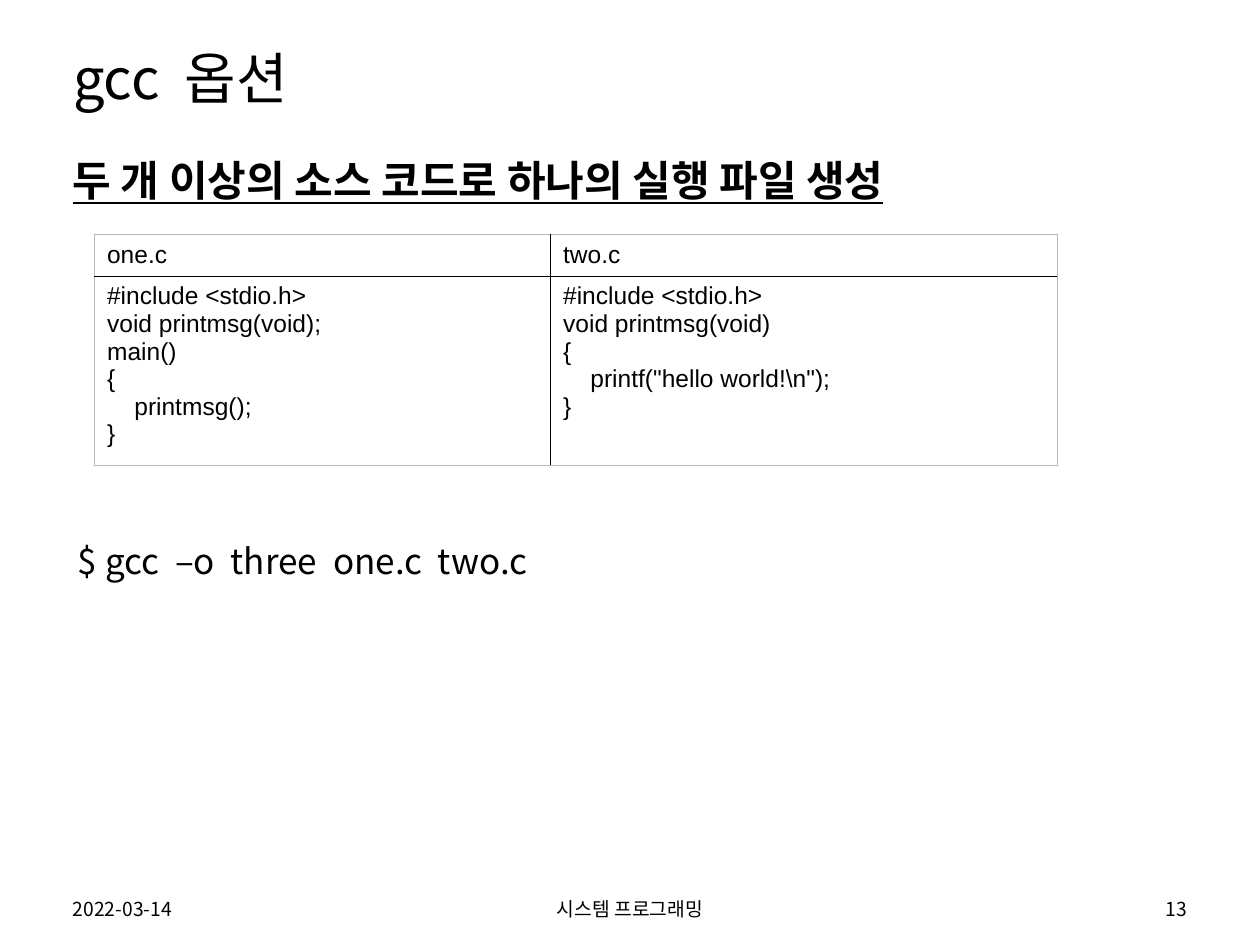
from dataclasses import dataclass

import pptx
import pptx.dml.color
import pptx.enum.text
import pptx.oxml
import pptx.oxml.ns
import pptx.util
from lxml import etree

Pt = pptx.util.Pt
qn = pptx.oxml.ns.qn
ALIGN = pptx.enum.text.PP_ALIGN
ANCHOR = pptx.enum.text.MSO_ANCHOR

COLORS = {"text": "000000", "rule": "000000", "frame": "B8B8B8"}
KOREAN_FONT = "Noto Sans CJK KR"
CODE_FONT = "Arial"
CODE_INDENT = 15.6
MARGIN = 34.56
CONTENT_WIDTH = 652.32


@dataclass
class Line:
    text: str
    size: float
    align: ALIGN = ALIGN.LEFT
    font: str = KOREAN_FONT
    bold: bool = False
    underline: bool = False
    space_before: float = 0
    indent: float = 0


@dataclass
class Footer:
    text: str
    left: float
    width: float
    align: ALIGN


@dataclass
class SourceFile:
    name: str
    width: float
    code: list[str]


FOOTERS = [
    Footer("2022-03-14", MARGIN, 162, ALIGN.LEFT),
    Footer("시스템 프로그래밍", 238.32, 243.36, ALIGN.CENTER),
    Footer("13", 523.44, 162, ALIGN.RIGHT),
]
SOURCE_FILES = [
    SourceFile("one.c", 260.64, ["#include <stdio.h>", "void printmsg(void);", "main()",
                                 "{", "\tprintmsg();", "}"]),
    SourceFile("two.c", 289.44, ["#include <stdio.h>", "void printmsg(void)",
                                 "{", '\tprintf("hello world!\\n");', "}"]),
]
BODY = [
    Line("두 개 이상의 소스 코드로 하나의 실행 파일 생성", 24, bold=True, underline=True),
    Line("$ gcc  –o  three  one.c  two.c", 20, space_before=191, indent=2.88),
]


def write_lines(text_frame, lines: list[Line]) -> None:
    for index, line in enumerate(lines):
        paragraph = text_frame.add_paragraph() if index else text_frame.paragraphs[0]
        paragraph.text = line.text
        paragraph.alignment = line.align
        paragraph.space_before = Pt(line.space_before)
        font = paragraph.font
        font.size = Pt(line.size)
        font.bold = line.bold
        font.underline = line.underline
        font.color.rgb = pptx.dml.color.RGBColor.from_string(COLORS["text"])
        font.name = line.font
        properties = paragraph._p.get_or_add_pPr()
        properties.set("marL", str(Pt(line.indent)))
        properties.set("indent", "0")
        defaults = properties.find(qn("a:defRPr"))
        etree.SubElement(defaults, qn("a:ea"), typeface=line.font)


def add_text(slide, left: float, top: float, width: float, height: float,
             lines: list[Line], anchor: ANCHOR) -> None:
    box = slide.shapes.add_textbox(Pt(left), Pt(top), Pt(width), Pt(height))
    box.text_frame.word_wrap = True
    box.text_frame.vertical_anchor = anchor
    write_lines(box.text_frame, lines)


def set_borders(cell, inner_sides: set[str]) -> None:
    """Draw black rules on the inner sides and a pale frame on the others."""
    properties = cell._tc.get_or_add_tcPr()
    for position, side in enumerate(("lnL", "lnR", "lnT", "lnB")):
        inner = side in inner_sides
        border = etree.Element(qn(f"a:{side}"), w=str(Pt(1 if inner else 0.5)))
        fill = etree.SubElement(border, qn("a:solidFill"))
        etree.SubElement(fill, qn("a:srgbClr"), val=COLORS["rule" if inner else "frame"])
        properties.insert(position, border)


def code_line(text: str) -> Line:
    """Turn a leading tab into a paragraph indent."""
    indent = CODE_INDENT if text.startswith("\t") else 0
    return Line(text.strip(), 14, ALIGN.JUSTIFY, CODE_FONT, indent=indent)


def add_source_table(slide) -> None:
    row_heights = (23, 101.6)
    width = sum(source.width for source in SOURCE_FILES)
    table = slide.shapes.add_table(2, len(SOURCE_FILES), Pt(54), Pt(133.9),
                                   Pt(width), Pt(sum(row_heights))).table
    table.first_row = table.horz_banding = False
    for row, height in zip(table.rows, row_heights):
        row.height = Pt(height)
    for column, source in enumerate(SOURCE_FILES):
        table.columns[column].width = Pt(source.width)
        for row, texts in enumerate(([source.name], source.code)):
            cell = table.cell(row, column)
            cell.fill.background()
            cell.vertical_anchor = ANCHOR.TOP if row else ANCHOR.MIDDLE
            write_lines(cell.text_frame, [code_line(text) for text in texts])
            set_borders(cell, {"lnL" if column else "lnR", "lnT" if row else "lnB"})


def add_title(slide) -> None:
    title = slide.shapes.title
    title.left, title.top = Pt(MARGIN), Pt(16.56)
    title.width, title.height = Pt(CONTENT_WIDTH), Pt(59.76)
    title.text_frame.vertical_anchor = ANCHOR.MIDDLE
    write_lines(title.text_frame, [Line("gcc  옵션", 32)])
    title.text_frame.paragraphs[0].line_spacing = 0.9


def main() -> None:
    presentation = pptx.Presentation()
    presentation.slide_width, presentation.slide_height = Pt(720), Pt(540)
    slide = presentation.slides.add_slide(presentation.slide_layouts[5])
    add_title(slide)
    add_text(slide, MARGIN, 84.96, CONTENT_WIDTH, 414.72, BODY, ANCHOR.TOP)
    for footer in FOOTERS:
        add_text(slide, footer.left, 509.04, footer.width, 20.16,
                 [Line(footer.text, 11, footer.align)], ANCHOR.MIDDLE)
    add_source_table(slide)
    presentation.save("out.pptx")


if __name__ == "__main__":
    main()
